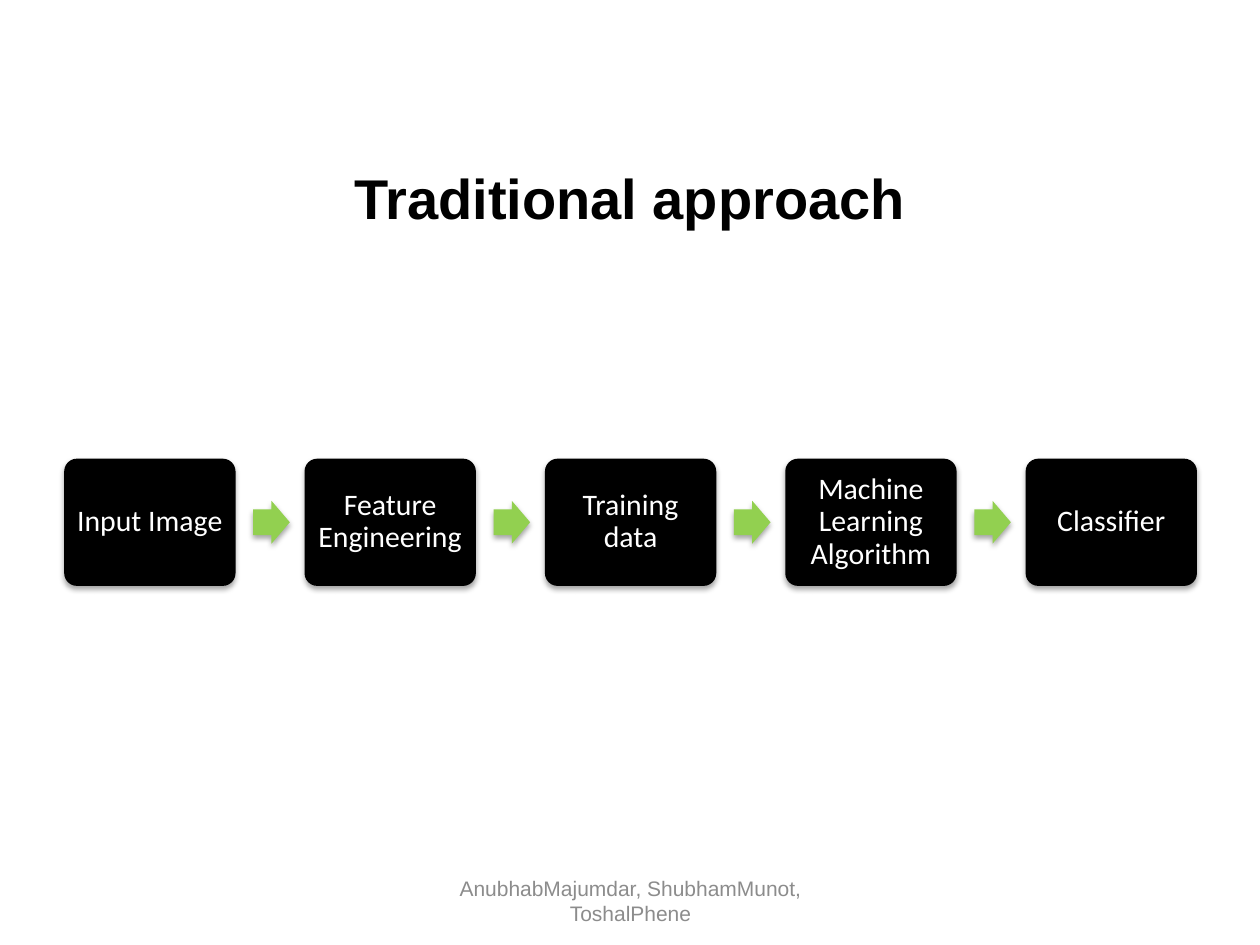
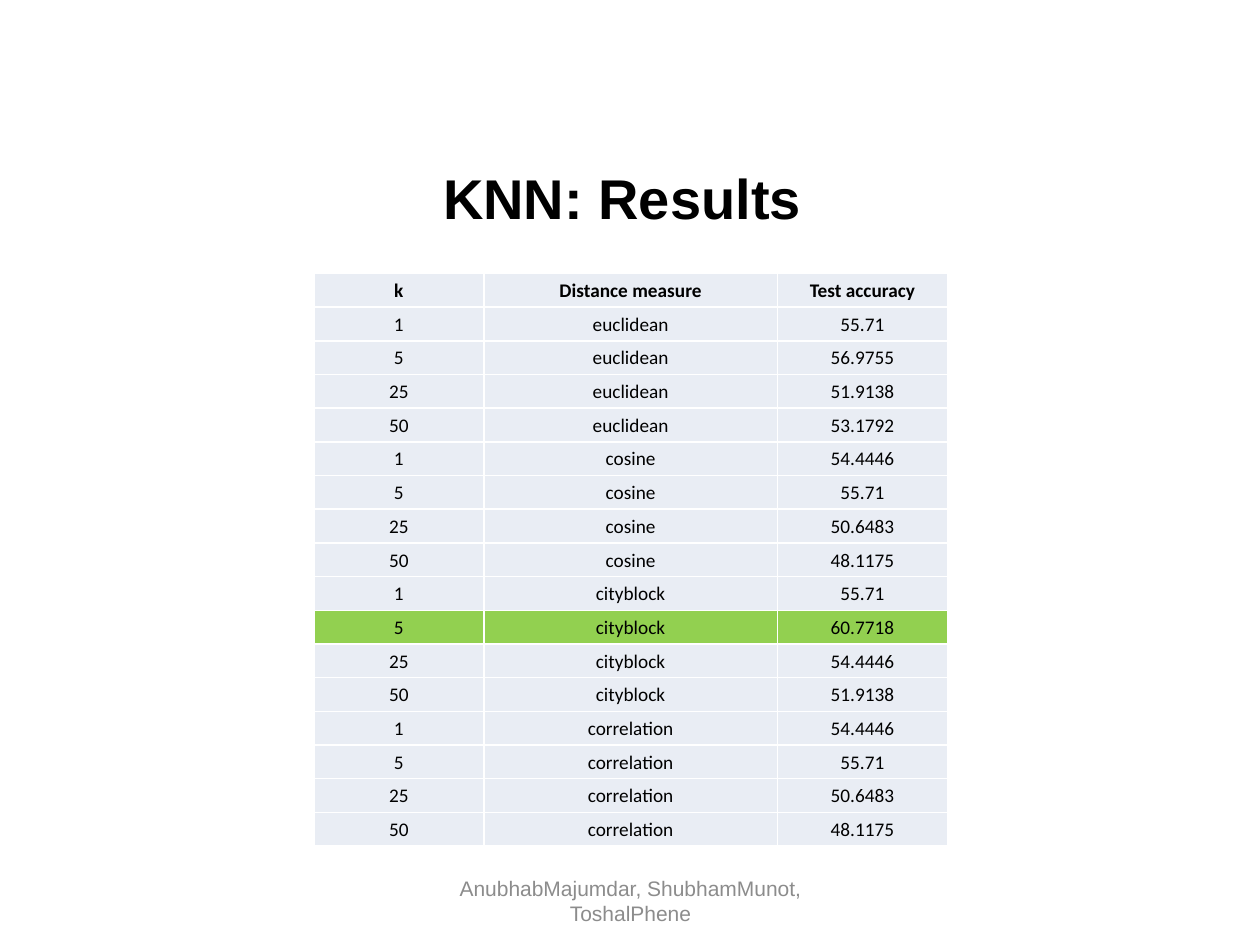
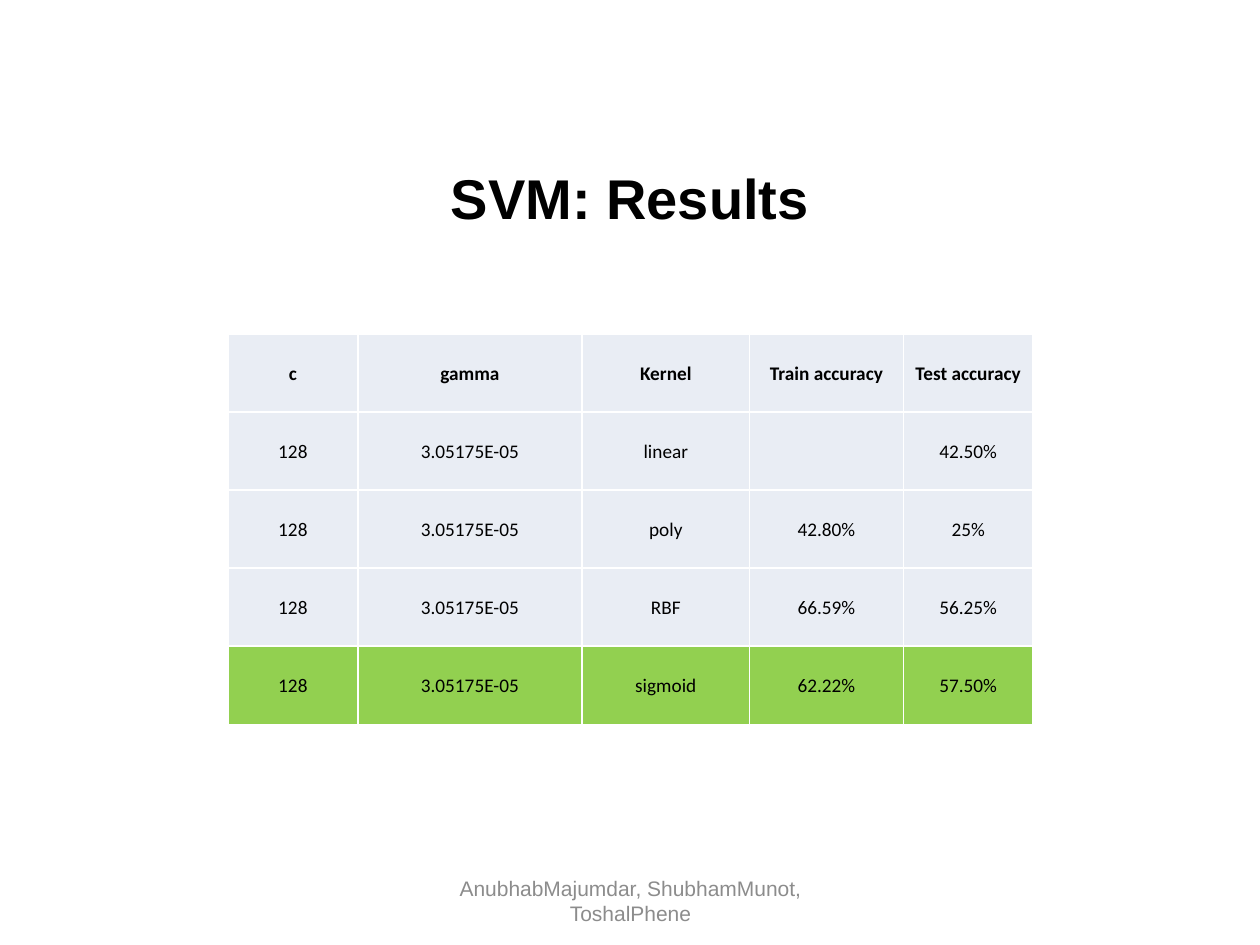
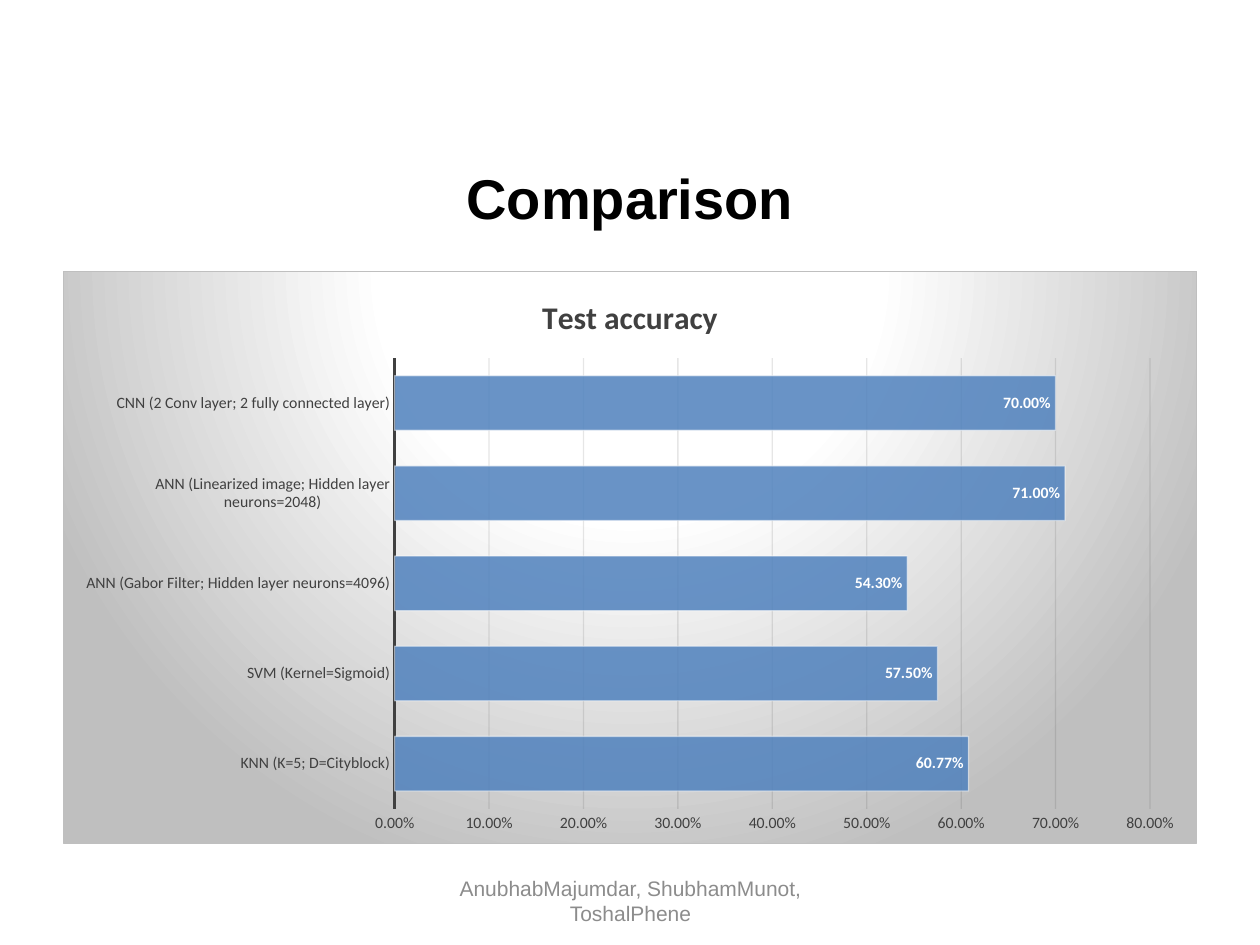
from lxml import etree
from pptx import Presentation
from pptx.chart.data import CategoryChartData
from pptx.dml.color import RGBColor
from pptx.enum.chart import XL_CHART_TYPE, XL_LABEL_POSITION, XL_TICK_MARK
from pptx.enum.shapes import MSO_SHAPE
from pptx.enum.text import MSO_ANCHOR, PP_ALIGN
from pptx.oxml import parse_xml
from pptx.oxml.ns import nsdecls, qn
from pptx.util import Inches, Pt

CENTER, MIDDLE = PP_ALIGN.CENTER, MSO_ANCHOR.MIDDLE
CARD, ARROW = MSO_SHAPE.ROUNDED_RECTANGLE, MSO_SHAPE.RIGHT_ARROW
BARS = XL_CHART_TYPE.BAR_CLUSTERED
END = XL_LABEL_POSITION.INSIDE_END
NO_TICK = XL_TICK_MARK.NONE

BLACK, WHITE, GREEN = "000000", "FFFFFF", "92D050"
PALE, BLUE = "E9EDF4", "4F81BD"
DARK, GRAY, SILVER = "404040", "8C8C8C", "BFBFBF"
HEAD, BODY = "Arial", "Calibri"
PERCENT = "0.00%"

TITLE_BOX = (0.5, 0.98, 9, 1.17)
FOOT_BOX = (3.42, 6.95, 3.17, 0.4)
AUTHORS = "AnubhabMajumdar, ShubhamMunot, ToshalPhene"

STEPS = ["Input Image", "Feature Engineering", "Training data",
         "Machine Learning Algorithm", "Classifier"]

KS = ["1", "5", "25", "50"]
KNN = {
    "euclidean": ["55.71", "56.9755", "51.9138", "53.1792"],
    "cosine": ["54.4446", "55.71", "50.6483", "48.1175"],
    "cityblock": ["55.71", "60.7718", "54.4446", "51.9138"],
    "correlation": ["54.4446", "55.71", "50.6483", "48.1175"],
}
SVM = [("linear", "", "42.50%"), ("poly", "42.80%", "25%"),
       ("RBF", "66.59%", "56.25%"), ("sigmoid", "62.22%", "57.50%")]

SCORES = {
    "KNN (K=5; D=Cityblock)": 0.6077,
    "SVM (Kernel=Sigmoid)": 0.575,
    "ANN (Gabor Filter; Hidden layer neurons=4096)": 0.543,
    "ANN (Linearized image; Hidden layer neurons=2048)": 0.71,
    "CNN (2 Conv layer; 2 fully connected layer)": 0.7,
}


def color(code):
    return RGBColor.from_string(code)


def inches(box):
    return [Inches(n) for n in box]


def style(font, size, tint, face=BODY, bold=False):
    font.name, font.size, font.bold = face, Pt(size), bold
    font.color.rgb = color(tint)


def paint(part, tint):
    part.fill.solid()
    part.fill.fore_color.rgb = color(tint)


def rule(line, tint, width):
    line.color.rgb = color(tint)
    line.width = Pt(width)


def write(frame, text, size=11, tint=BLACK, face=BODY, bold=False, lead=None):
    frame.word_wrap = True
    frame.vertical_anchor = MIDDLE
    para = frame.paragraphs[0]
    para.alignment = CENTER
    if lead:
        para.line_spacing = lead
    run = para.add_run()
    run.text = text
    style(run.font, size, tint, face, bold)


def fade(node, percent):
    """Make the first colour under an XML node partly transparent."""
    code = next(node.iter(qn("a:srgbClr")))
    etree.SubElement(code, qn("a:alpha")).set("val", str(percent * 1000))


def shade(shape):
    """Give a shape a soft shadow that falls straight down."""
    shape.shadow.inherit = False
    drop = parse_xml(
        f'<a:outerShdw {nsdecls("a")} blurRad="{Pt(3.1)}" dist="{Pt(1.8)}" '
        f'dir="5400000" rotWithShape="0"><a:srgbClr val="{BLACK}"/>'
        '</a:outerShdw>')
    fade(drop, 35)
    shape.element.spPr.find(qn("a:effectLst")).append(drop)


def solid(slide, kind, box, tint, *adjust):
    shape = slide.shapes.add_shape(kind, *inches(box))
    for i, value in enumerate(adjust):
        shape.adjustments[i] = value
    paint(shape, tint)
    shape.line.fill.background()
    shade(shape)
    return shape


def start(deck, text):
    """Add a slide with its title and the authors' footer."""
    slide = deck.slides.add_slide(deck.slide_layouts[5])
    title = slide.shapes.title
    title.left, title.top, title.width, title.height = inches(TITLE_BOX)
    write(title.text_frame, text, size=32, face=HEAD, bold=True)
    foot = slide.shapes.add_textbox(*inches(FOOT_BOX))
    write(foot.text_frame, AUTHORS, size=12, tint=GRAY, face=HEAD)
    return slide


def flow(slide, box, steps):
    """Spread step cards over the box, with an arrow in each gap."""
    left, top, width, height = box
    card, tip, tall = 1.36, 0.29, 0.34
    pitch = (width - card) / (len(steps) - 1)
    for i, text in enumerate(steps):
        x = left + i * pitch
        shape = solid(slide, CARD, (x, top, card, height), BLACK, 0.1)
        frame = shape.text_frame
        frame.margin_left = frame.margin_right = Inches(0.06)
        write(frame, text, size=17, tint=WHITE, lead=0.9)
        if i < len(steps) - 1:
            spot = (x + card + 0.14, top + (height - tall) / 2, tip, tall)
            solid(slide, ARROW, spot, GREEN, 0.6, 0.5)


def border(cell):
    props = cell._tc.get_or_add_tcPr()
    for side in "LRTB":
        props.append(parse_xml(
            f'<a:ln{side} {nsdecls("a")} w="{Pt(1)}"><a:solidFill>'
            f'<a:srgbClr val="{WHITE}"/></a:solidFill></a:ln{side}>'))


def grid(slide, box, widths, rows, best):
    """Draw a table whose row number best is marked green."""
    table = slide.shapes.add_table(len(rows), len(widths), *inches(box)).table
    table.first_row = table.horz_banding = False
    for col, width in zip(table.columns, widths):
        col.width = Inches(width)
    for r, row in enumerate(rows):
        table.rows[r].height = Inches(box[3] / len(rows))
        for c, text in enumerate(row):
            cell = table.cell(r, c)
            border(cell)
            paint(cell, GREEN if r == best else PALE)
            cell.margin_left = cell.margin_right = Inches(0.01)
            cell.margin_top, cell.margin_bottom = Inches(0.01), 0
            cell.vertical_anchor = MIDDLE
            if text:
                write(cell.text_frame, text, bold=r == 0)


def backdrop(chart):
    """Fill the chart area with a round gradient and a thin border."""
    stops = "".join(
        f'<a:gs pos="{spot * 1000}"><a:srgbClr val="{tint}"/></a:gs>'
        for spot, tint in [(0, WHITE), (39, WHITE), (100, SILVER)])
    area = parse_xml(
        f'<c:spPr {nsdecls("c", "a")}><a:gradFill><a:gsLst>{stops}</a:gsLst>'
        '<a:path path="circle"><a:fillToRect l="50000" t="-80000" r="50000" '
        f'b="180000"/></a:path></a:gradFill><a:ln w="{Pt(0.75)}"><a:solidFill>'
        f'<a:srgbClr val="{SILVER}"/></a:solidFill></a:ln></c:spPr>')
    chart.element.find(qn("c:chart")).addnext(area)


def bars(slide, box, name, scores):
    data = CategoryChartData(number_format=PERCENT)
    data.categories = list(scores)
    data.add_series(name, list(scores.values()))
    chart = slide.shapes.add_chart(BARS, *inches(box), data).chart
    style(chart.font, 10, BLACK)
    backdrop(chart)
    chart.has_legend = False
    chart.has_title = True
    write(chart.chart_title.text_frame, name, size=18, tint=DARK, bold=True)
    chart.chart_title.include_in_layout = False

    cats, vals = chart.category_axis, chart.value_axis
    for axis in (cats, vals):
        axis.major_tick_mark = axis.minor_tick_mark = NO_TICK
        style(axis.tick_labels.font, 9, DARK)
    rule(cats.format.line, DARK, 1.5)
    vals.format.line.fill.background()
    vals.minimum_scale, vals.maximum_scale, vals.major_unit = 0, 0.8, 0.1
    vals.tick_labels.number_format = PERCENT
    vals.tick_labels.number_format_is_linked = False
    rule(vals.major_gridlines.format.line, "0D0D0D", 0.75)
    fade(next(chart.element.iter(qn("c:majorGridlines"))), 10)

    plot = chart.plots[0]
    plot.gap_width = 65
    plot.vary_by_categories = False
    series = plot.series[0]
    paint(series.format, BLUE)
    rule(series.format.line, WHITE, 0.75)
    look = next(chart.element.iter(qn("c:ser"))).find(qn("c:spPr"))
    fade(look, 85)
    fade(look.find(qn("a:ln")), 50)
    labels = series.data_labels
    labels.show_value = True
    labels.position = END
    labels.number_format = PERCENT
    labels.number_format_is_linked = False
    style(labels.font, 9, WHITE, bold=True)


def main():
    deck = Presentation()
    deck.slide_width, deck.slide_height = Inches(10), Inches(7.5)

    flow(start(deck, "Traditional approach"), (0.51, 3.64, 8.99, 1.01), STEPS)

    rows = [("k", "Distance measure", "Test accuracy")]
    rows += [(k, name, score) for name, scores in KNN.items()
             for k, score in zip(KS, scores)]
    grid(start(deck, "KNN: Results "), (2.49, 2.17, 5.02, 4.55),
         [1.35, 2.33, 1.35], rows, best=10)

    rows = [("c", "gamma", "Kernel", "Train accuracy", "Test accuracy")]
    rows += [("128", "3.05175E-05", *row) for row in SVM]
    grid(start(deck, "SVM: Results"), (1.81, 2.65, 6.38, 3.1),
         [1.03, 1.78, 1.33, 1.22, 1.03], rows, best=4)

    bars(start(deck, "Comparison"), (0.5, 2.15, 9, 4.55),
         "Test accuracy", SCORES)
    deck.save("out.pptx")


if __name__ == "__main__":
    main()
